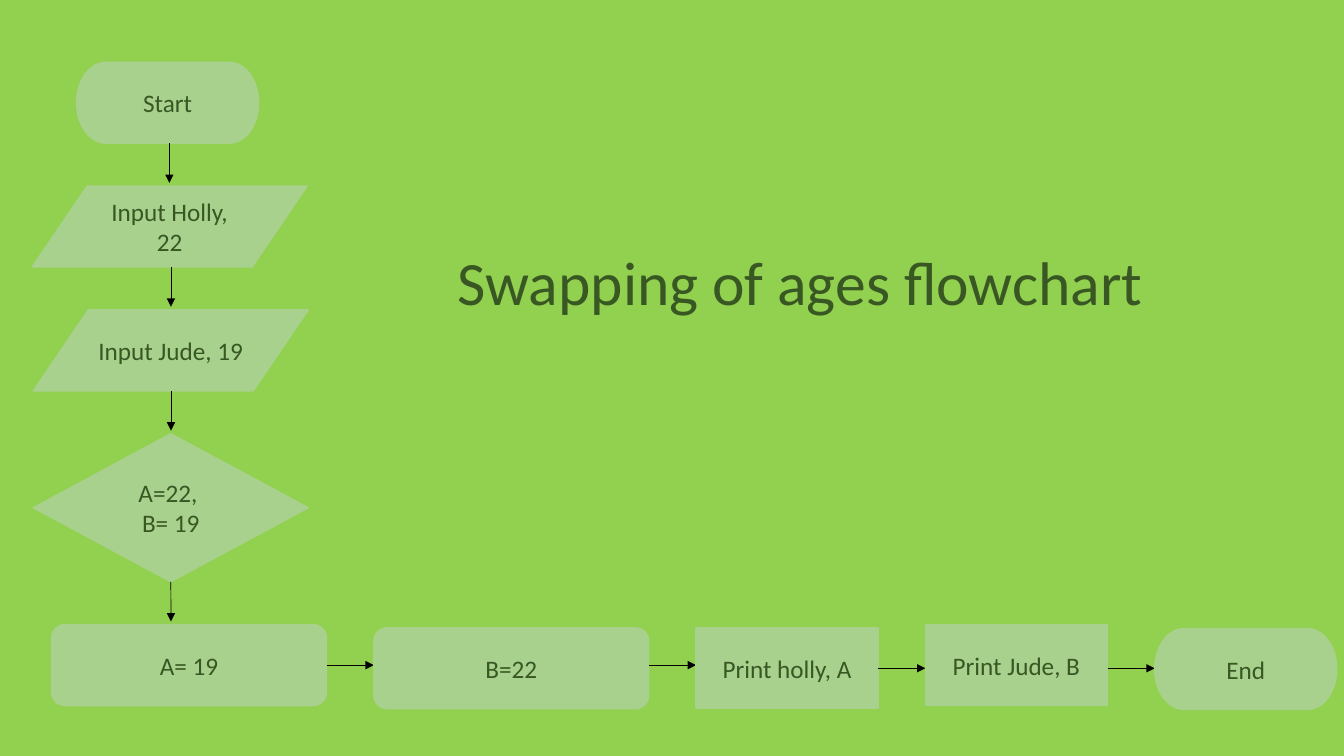
from lxml.etree import SubElement
from pptx import Presentation
from pptx.dml.color import RGBColor
from pptx.enum.shapes import MSO_CONNECTOR, MSO_SHAPE
from pptx.enum.text import MSO_ANCHOR, PP_ALIGN
from pptx.oxml.ns import qn
from pptx.util import Cm, Pt

LIME = RGBColor(0x92, 0xD0, 0x50)
SAGE = RGBColor(0xA9, 0xD1, 0x8E)
FOREST = RGBColor(0x38, 0x57, 0x23)
BLACK = RGBColor(0, 0, 0)

WIDE, NARROW, HEIGHT, DIAMOND_HEIGHT = 6.93, 4.59, 2.04, 3.73
DOWN_GAP, ACROSS_GAP, ARROW_DROP = 1.08, 1.19, 1.0


def add_step(kind, text, left, top, width, height=HEIGHT):
    step = slide.shapes.add_shape(kind, Cm(left), Cm(top), Cm(width), Cm(height))
    step.shadow.inherit = False
    step.fill.solid()
    step.fill.fore_color.rgb = SAGE
    step.line.color.rgb = SAGE
    step.line.width = Pt(1)
    frame = step.text_frame
    frame.text = text
    frame.word_wrap = True
    frame.vertical_anchor = MSO_ANCHOR.MIDDLE
    for paragraph in frame.paragraphs:
        paragraph.alignment = PP_ALIGN.CENTER
        for name, value in {"name": "Calibri", "size": Pt(18)}.items():
            setattr(paragraph.font, name, value)
        paragraph.font.color.rgb = FOREST
    return step


def add_arrow(x1, y1, x2, y2):
    arrow = slide.shapes.add_connector(
        MSO_CONNECTOR.STRAIGHT, Cm(x1), Cm(y1), Cm(x2), Cm(y2))
    arrow.line.color.rgb = BLACK
    arrow.line.width = Pt(0.5)
    SubElement(arrow.line._get_or_add_ln(), qn("a:tailEnd"), type="triangle")
    SubElement(arrow._element.spPr, qn("a:effectLst"))
    return arrow


prs = Presentation()
prs.slide_width, prs.slide_height = Cm(33.87), Cm(19.05)
slide = prs.slides.add_slide(prs.slide_layouts[5])
slide.background.fill.solid()
slide.background.fill.fore_color.rgb = LIME

# Title
title = slide.shapes.title
title.left, title.top, title.width, title.height = Cm(11.28), Cm(5.36), Cm(20.88), Cm(3.68)
title.text_frame.text = "Swapping of ages flowchart"
title.text_frame.vertical_anchor = MSO_ANCHOR.MIDDLE
heading = title.text_frame.paragraphs[0]
heading.alignment = PP_ALIGN.LEFT
heading.line_spacing = 0.9
for name, value in {"name": "Calibri", "size": Pt(44)}.items():
    setattr(heading.font, name, value)
heading.font.color.rgb = FOREST

# Inputs and decision, top to bottom: kind, text, left, width, height, arrow x
input_steps = [
    (MSO_SHAPE.FLOWCHART_TERMINATOR, "Start", 1.93, NARROW, HEIGHT, 4.27),
    (MSO_SHAPE.FLOWCHART_DATA, "Input Holly, 22", 0.81, WIDE, HEIGHT, 4.31),
    (MSO_SHAPE.FLOWCHART_DATA, "Input Jude, 19", 0.84, WIDE, HEIGHT, 4.31),
    (MSO_SHAPE.FLOWCHART_DECISION, "A=22, \nB= 19", 0.84, WIDE, DIAMOND_HEIGHT, 4.31),
]
top = 1.57
for kind, text, left, width, height, arrow_x in input_steps:
    step = add_step(kind, text, left, top, width, height)
    bottom = top + height
    down_arrow = add_arrow(arrow_x, bottom, arrow_x, bottom + ARROW_DROP)
    if kind == MSO_SHAPE.FLOWCHART_DECISION:
        down_arrow.begin_connect(step, 2)
    top = bottom + DOWN_GAP

# Swap and output, left to right: kind, text, width, offset below the row top
output_steps = [
    (MSO_SHAPE.FLOWCHART_ALTERNATE_PROCESS, "A= 19", WIDE, 0),
    (MSO_SHAPE.FLOWCHART_ALTERNATE_PROCESS, "B=22", WIDE, 0.08),
    (MSO_SHAPE.RECTANGLE, "Print holly, A", NARROW, 0.08),
    (MSO_SHAPE.RECTANGLE, "Print Jude, B", NARROW, 0),
    (MSO_SHAPE.FLOWCHART_TERMINATOR, "End", NARROW, 0.1),
]
left = 1.3
row_middle = top + HEIGHT / 2
arrow_offsets = [0, 0, 0.08, 0.08]
for index, (kind, text, width, offset) in enumerate(output_steps):
    step = add_step(kind, text, left, top + offset, width)
    right = left + width
    left = right + ACROSS_GAP
    if index < len(arrow_offsets):
        arrow_y = row_middle + arrow_offsets[index]
        across_arrow = add_arrow(right, arrow_y, left, arrow_y)
        if arrow_offsets[index] == offset:
            across_arrow.begin_connect(step, 3)

prs.save("out.pptx")
